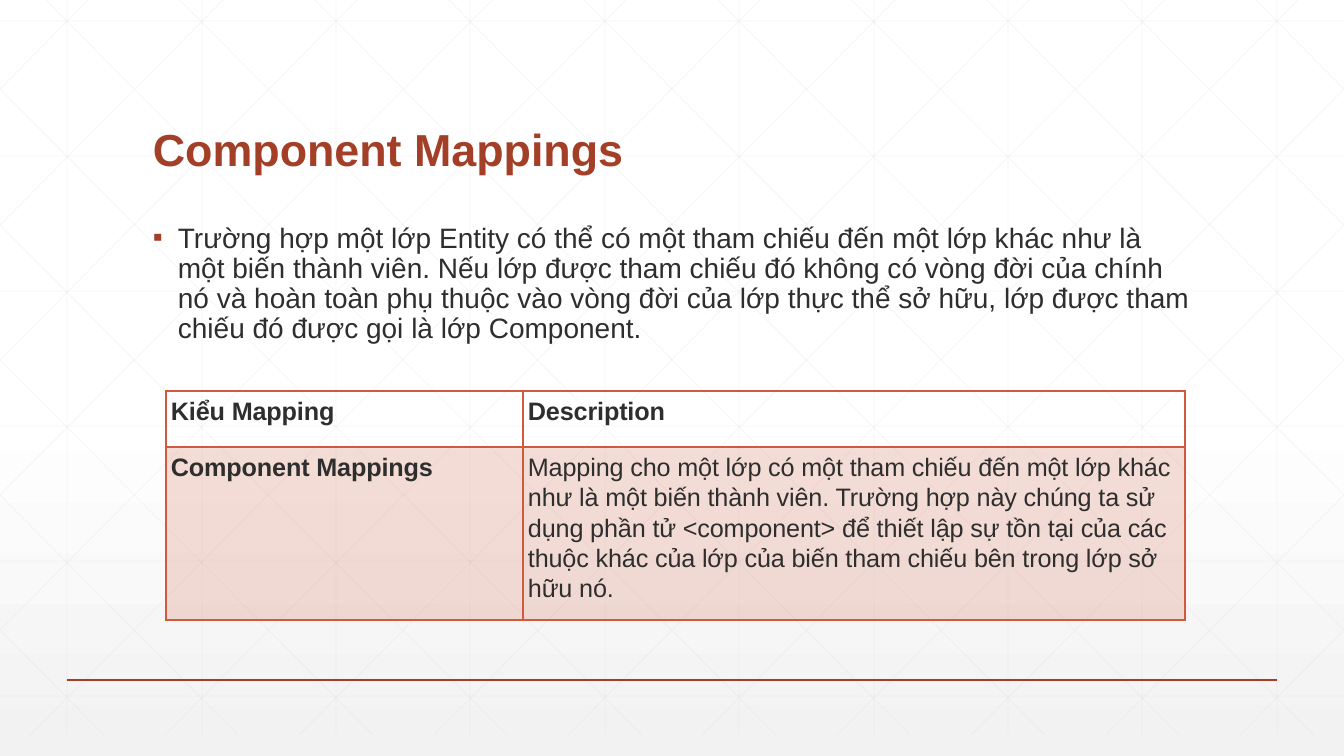
from dataclasses import dataclass

from lxml.etree import SubElement
from pptx import Presentation
from pptx.dml.color import RGBColor as RGB
from pptx.enum.shapes import MSO_CONNECTOR as CONN
from pptx.enum.text import MSO_ANCHOR as ANCHOR
from pptx.oxml.ns import qn
from pptx.util import Pt

SCALE = 914400 / 100.8
WIDTH, HEIGHT = 1344, 756


@dataclass(frozen=True)
class Theme:
    font: str = "Arial"
    accent: str = "A43F27"
    table: str = "D15A3E"
    ink: str = "2D2E2D"
    grid: str = "D9D9D9"
    page_top: str = "FFFFFF"
    page_bottom: str = "F2F2F2"
    title_size: int = 32
    body_size: int = 20
    cell_size: int = 18


THEME = Theme()

BODY = (
    "Trường hợp một lớp Entity có thể có một tham chiếu đến một lớp khác như là "
    "một biến thành viên. Nếu lớp được tham chiếu đó không có vòng đời của chính "
    "nó và hoàn toàn phụ thuộc vào vòng đời của lớp thực thể sở hữu, lớp được tham "
    "chiếu đó được gọi là lớp Component."
)
DESCRIPTION = (
    "Mapping cho một lớp có một tham chiếu đến một lớp khác như là một biến thành "
    "viên. Trường hợp này chúng ta sử dụng phần tử\u00a0<component>\u00a0để thiết lập "
    "sự tồn tại của các thuộc khác của lớp của biến tham chiếu bên trong lớp sở hữu nó."
)
ROWS = [("Kiểu Mapping", "Description"), ("Component Mappings", DESCRIPTION)]


def px(n):
    return round(n * SCALE)


def set_alpha(fill, percent):
    clr = fill._xPr.find(qn("a:solidFill"))[0]
    SubElement(clr, qn("a:alpha"), val=str(percent * 1000))


def add_line(shapes, x1, y1, x2, y2, color, width, alpha=None):
    ln = shapes.add_connector(CONN.STRAIGHT, px(x1), px(y1), px(x2), px(y2))
    ln.line.color.rgb = RGB.from_string(color)
    ln.line.width = Pt(width)
    if alpha:
        set_alpha(ln.line.fill, alpha)
    SubElement(ln._element.spPr, qn("a:effectLst"))


def write_text(tf, text, size, color=THEME.ink, bold=False, line=0.9,
               before=0, after=0, bullet=False, spacing=None):
    tf.word_wrap = True
    p = tf.paragraphs[0]
    p.line_spacing, p.space_before, p.space_after = line, Pt(before), Pt(after)
    r = p.add_run()
    r.text = text
    f = r.font
    f.name, f.size, f.bold = THEME.font, Pt(size), bold
    f.color.rgb = RGB.from_string(color)
    if spacing is not None:
        f._element.set("spc", str(round(spacing * 100)))
    if bullet:
        pPr = p._p.get_or_add_pPr()
        pPr.set("marL", str(px(25)))
        pPr.set("indent", str(-px(25)))
        clr = SubElement(pPr, qn("a:buClr"))
        SubElement(clr, qn("a:srgbClr"), val=THEME.accent)
        SubElement(pPr, qn("a:buFont"), typeface=THEME.font)
        SubElement(pPr, qn("a:buChar"), char="▪")


def add_text(slide, x, y, w, h, text, anchor=ANCHOR.TOP, **fmt):
    tf = slide.shapes.add_textbox(px(x), px(y), px(w), px(h)).text_frame
    tf.vertical_anchor = anchor
    write_text(tf, text, **fmt)


def set_borders(cell, color, **widths):
    tcPr = cell._tc.get_or_add_tcPr()
    for i, (side, width) in enumerate(widths.items()):
        ln = SubElement(tcPr, qn(f"a:ln{side}"), w=str(Pt(width)))
        fill = SubElement(ln, qn("a:solidFill"))
        SubElement(fill, qn("a:srgbClr"), val=color)
        tcPr.insert(i, ln)


def add_mapping_table(slide, x, y, widths, heights):
    tbl = slide.shapes.add_table(len(heights), len(widths), px(x), px(y),
                                 px(sum(widths)), px(sum(heights))).table
    tbl.first_row = tbl.horz_banding = False
    for col, w in zip(tbl.columns, widths):
        col.width = px(w)
    for i, (row, h) in enumerate(zip(tbl.rows, heights)):
        row.height = px(h)
        for j, cell in enumerate(row.cells):
            header = i == 0
            cell.margin_left = cell.margin_right = px(5)
            cell.margin_top = cell.margin_bottom = px(5)
            write_text(cell.text_frame, ROWS[i][j], size=THEME.cell_size,
                       bold=header or j == 0, line=1.07, after=11.2, spacing=-0.1)
            if header:
                cell.fill.background()
            else:
                cell.fill.solid()
                cell.fill.fore_color.rgb = RGB.from_string(THEME.table)
                set_alpha(cell.fill, 20)
            set_borders(cell, THEME.table, L=1, R=1,
                        T=1 if header else 2, B=2 if header else 1)


def add_background(slide):
    fill = slide.background.fill
    fill.gradient()
    fill.gradient_angle = 270
    stops = ((0.53, THEME.page_top), (1, THEME.page_bottom))
    for stop, (position, color) in zip(fill.gradient_stops, stops):
        stop.position = position
        stop.color.rgb = RGB.from_string(color)


def add_grid(slide):
    shapes = slide.shapes.add_group_shape().shapes
    top, bottom, step, run = -21, 735, 134.4, 751
    fmt = dict(color=THEME.grid, width=0.5, alpha=25)
    for i in range(10):
        x = round(67.2 + i * step)
        add_line(shapes, x, top, x, bottom, **fmt)
    for i in range(6):
        y = 21 + i * 135
        add_line(shapes, 0, y, WIDTH, y, **fmt)
    slope = (bottom - top) / run
    for i in range(-5, 10):
        start = round(25 + i * step)
        x1, x2 = max(start, 0), min(start + run, WIDTH)
        y1, y2 = (round(top + (x - start) * slope) for x in (x1, x2))
        add_line(shapes, x1, y1, x2, y2, **fmt)
        add_line(shapes, WIDTH - x1, y1, WIDTH - x2, y2, **fmt)


def main():
    prs = Presentation()
    prs.slide_width, prs.slide_height = px(WIDTH), px(HEIGHT)
    slide = prs.slides.add_slide(prs.slide_layouts[6])
    add_background(slide)
    add_grid(slide)
    add_line(slide.shapes, 67, 680, 1277, 680, color=THEME.accent, width=1)
    add_text(slide, 143, 55, 1058, 126, "Component Mappings", anchor=ANCHOR.BOTTOM,
             size=THEME.title_size, color=THEME.accent, bold=True)
    add_text(slide, 143, 219, 1058, 420, BODY, size=THEME.body_size,
             before=18, bullet=True)
    add_mapping_table(slide, 166, 391, widths=(357, 662), heights=(56, 173))
    prs.save("out.pptx")


main()
